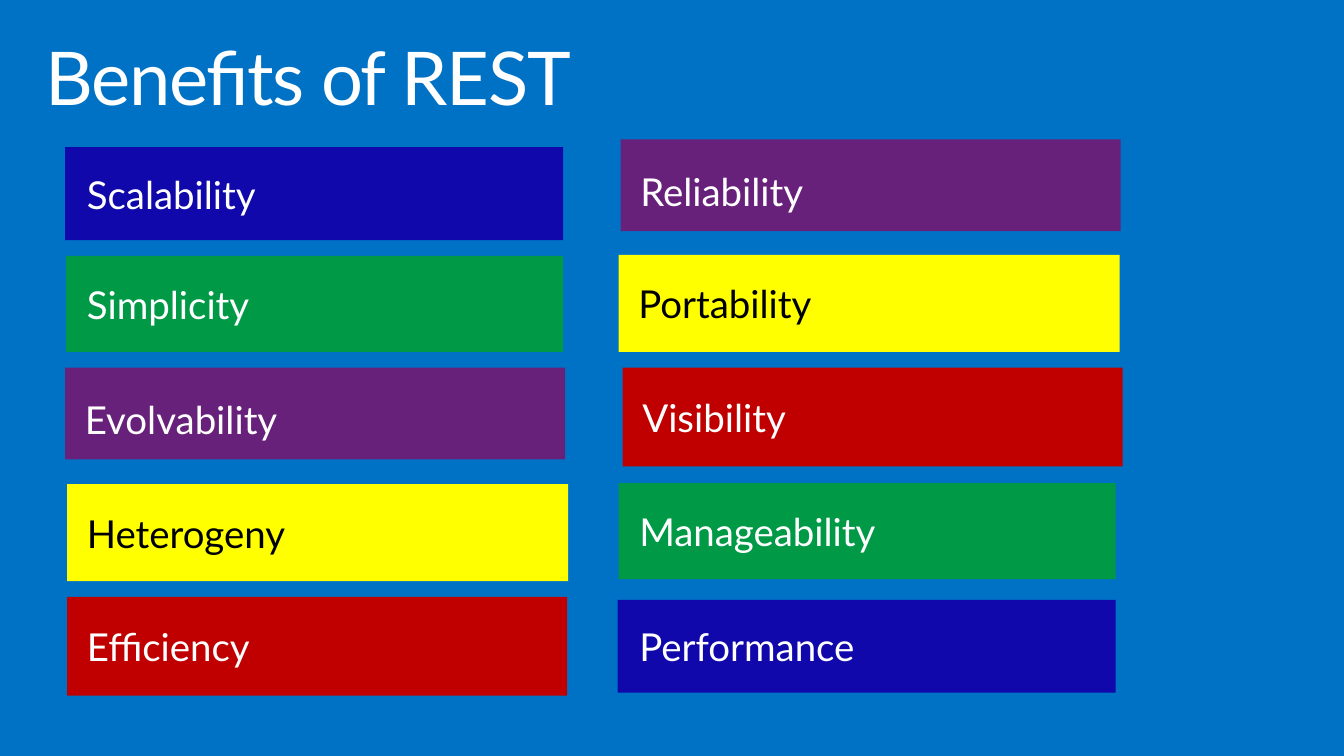
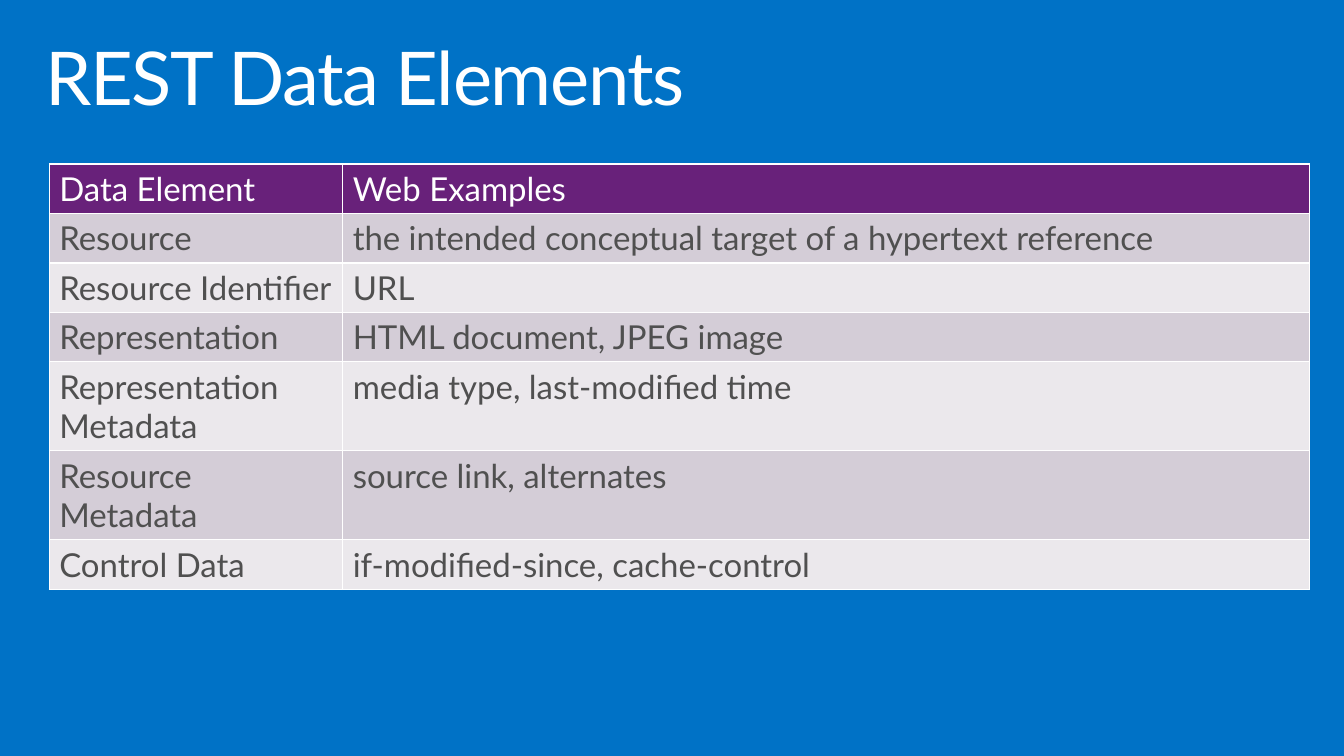
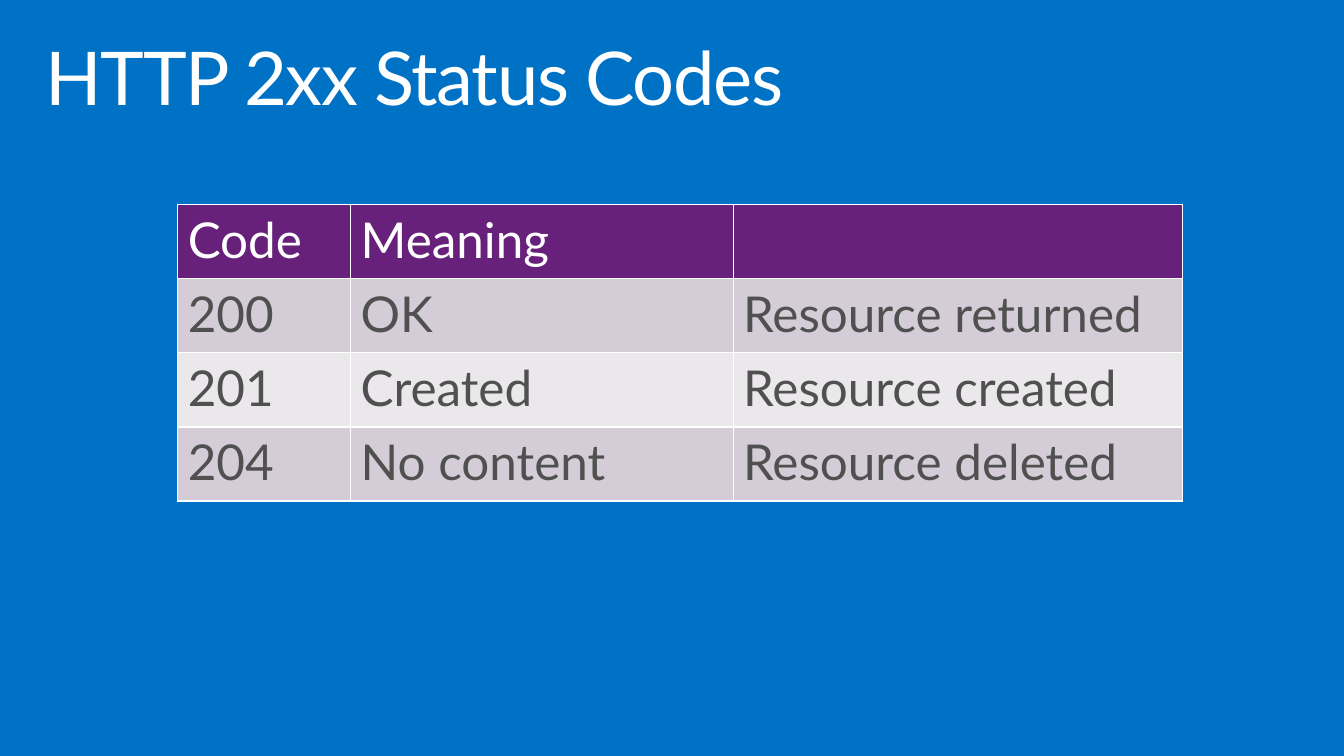
import dataclasses

import pptx
import pptx.dml.color
import pptx.enum.shapes
import pptx.enum.text
import pptx.oxml
import pptx.oxml.ns
import pptx.util

PX = 9144


@dataclasses.dataclass(frozen=True)
class Theme:
    font: str = "Lato"
    background: str = "0072C6"
    white: str = "FFFFFF"
    black: str = "000000"
    body: str = "505050"
    blue: str = "1008AA"
    green: str = "009A46"
    purple: str = "68217A"
    yellow: str = "FFFF00"
    red: str = "C00000"
    bands: tuple = ("D4CDD7", "EBE8EC")
    title_size: int = 54
    tile_size: int = 28
    elements_size: int = 24
    codes_size: int = 36


THEME = Theme()

TILE_STYLES = {
    "blue": {"width": 504, "height": 94, "indent": 22},
    "green": {"width": 503, "height": 97, "indent": 21},
    "purple": {"width": 506, "height": 93, "drop": 12},
    "yellow": {"width": 507, "height": 98, "ink": THEME.black},
    "red": {"width": 506, "height": 100},
}

BENEFITS = [
    ("Scalability", "blue", 66, 149),
    ("Simplicity", "green", 67, 259),
    ("Evolvability", "purple", 66, 372),
    ("Heterogeny", "yellow", 68, 490),
    ("Efficiency", "red", 68, 604),
    ("Reliability", "purple", 628, 141),
    ("Portability", "yellow", 626, 258),
    ("Visibility", "red", 630, 372),
    ("Manageability", "green", 626, 489),
    ("Performance", "blue", 625, 607),
]

DATA_ELEMENTS = [
    ("Data Element", "Web Examples"),
    ("Resource", "the intended conceptual target of a hypertext reference"),
    ("Resource Identifier", "URL"),
    ("Representation", "HTML document, JPEG image"),
    ("Representation Metadata", "media type, last-modified time"),
    ("Resource Metadata", "source link, alternates"),
    ("Control Data", "if-modified-since, cache-control"),
]

STATUS_CODES = [
    ("Code", "Meaning", ""),
    ("200", "OK", "Resource returned"),
    ("201", "Created", "Resource created"),
    ("204", "No content", "Resource deleted"),
]


def px(*lengths):
    return [pptx.util.Emu(length * PX) for length in lengths]


def rgb(color):
    return pptx.dml.color.RGBColor.from_string(color)


def apply_format(target, values):
    for name, value in values.items():
        setattr(target, name, value)


def fill_solid(target, color):
    target.fill.solid()
    target.fill.fore_color.rgb = rgb(color)


def set_insets(frame, left, top, right, bottom):
    sides = ("margin_left", "margin_top", "margin_right", "margin_bottom")
    apply_format(frame, dict(zip(sides, px(left, top, right, bottom))))


def write(paragraph, text, size, color):
    run = paragraph.add_run()
    run.text = text
    apply_format(run.font, {"name": THEME.font, "size": pptx.util.Pt(size)})
    run.font.color.rgb = rgb(color)
    return run


def add_titled_slide(deck, title):
    slide = deck.slides.add_slide(deck.slide_layouts[6])
    fill_solid(slide.background, THEME.background)
    frame = slide.shapes.add_textbox(*px(30, 32, 1300, 100)).text_frame
    frame.word_wrap = True
    set_insets(frame, 16, 10, 16, 10)
    heading = frame.paragraphs[0]
    heading.line_spacing = 0.9
    run = write(heading, title, THEME.title_size, THEME.white)
    run.font._element.set("spc", "-100")
    return slide


def add_tile(slide, label, color, left, top, width, height, indent=20, drop=0, ink=THEME.white):
    tile = slide.shapes.add_shape(
        pptx.enum.shapes.MSO_SHAPE.RECTANGLE, *px(left, top, width, height)
    )
    tile.shadow.inherit = False
    fill_solid(tile, color)
    tile.line.fill.background()
    frame = tile.text_frame
    apply_format(frame, {
        "word_wrap": True,
        "vertical_anchor": pptx.enum.text.MSO_ANCHOR.MIDDLE,
    })
    set_insets(frame, indent, 5 + drop, 10, 5)
    frame.paragraphs[0].alignment = pptx.enum.text.PP_ALIGN.LEFT
    write(frame.paragraphs[0], label, THEME.tile_size, ink)


def add_borders(cell):
    properties = cell._tc.get_or_add_tcPr()
    namespace = pptx.oxml.ns.nsdecls("a")
    for side in "LRTB":
        properties.append(pptx.oxml.parse_xml(
            f'<a:ln{side} {namespace} w="12700"><a:solidFill>'
            f'<a:srgbClr val="{THEME.white}"/></a:solidFill></a:ln{side}>'
        ))


def add_grid(slide, rows, left, top, widths, heights, size):
    table = slide.shapes.add_table(
        len(rows), len(widths), *px(left, top, sum(widths), sum(heights))
    ).table
    apply_format(table, {"first_row": False, "horz_banding": False})
    for column, width in zip(table.columns, px(*widths)):
        column.width = width
    for row, height in zip(table.rows, px(*heights)):
        row.height = height
    for row_index, texts in enumerate(rows):
        is_header = row_index == 0
        band = THEME.purple if is_header else THEME.bands[(row_index - 1) % 2]
        ink = THEME.white if is_header else THEME.body
        for column_index, text in enumerate(texts):
            cell = table.cell(row_index, column_index)
            add_borders(cell)
            fill_solid(cell, band)
            if text:
                write(cell.text_frame.paragraphs[0], text, size, ink)


def main():
    deck = pptx.Presentation()
    deck.slide_width, deck.slide_height = px(1360, 765)

    benefits = add_titled_slide(deck, "Benefits of REST")
    for label, hue, left, top in BENEFITS:
        add_tile(benefits, label, getattr(THEME, hue), left, top, **TILE_STYLES[hue])

    elements = add_titled_slide(deck, "REST Data Elements")
    add_grid(elements, DATA_ELEMENTS, 50, 166, [297, 978],
             [50] * 4 + [90] * 2 + [50], THEME.elements_size)

    codes = add_titled_slide(deck, "HTTP 2xx Status Codes")
    add_grid(codes, STATUS_CODES, 180, 207, [175, 387, 455],
             [75] * len(STATUS_CODES), THEME.codes_size)

    deck.save("out.pptx")


if __name__ == "__main__":
    main()
